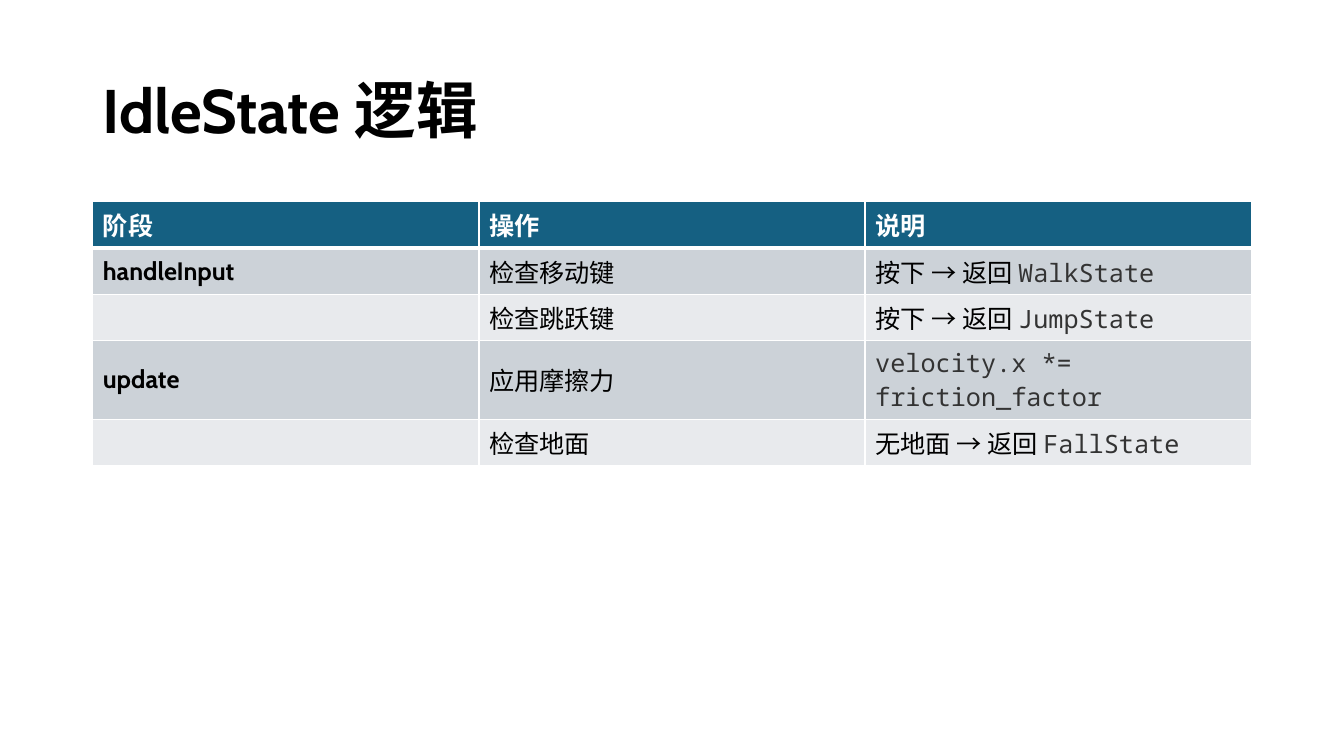
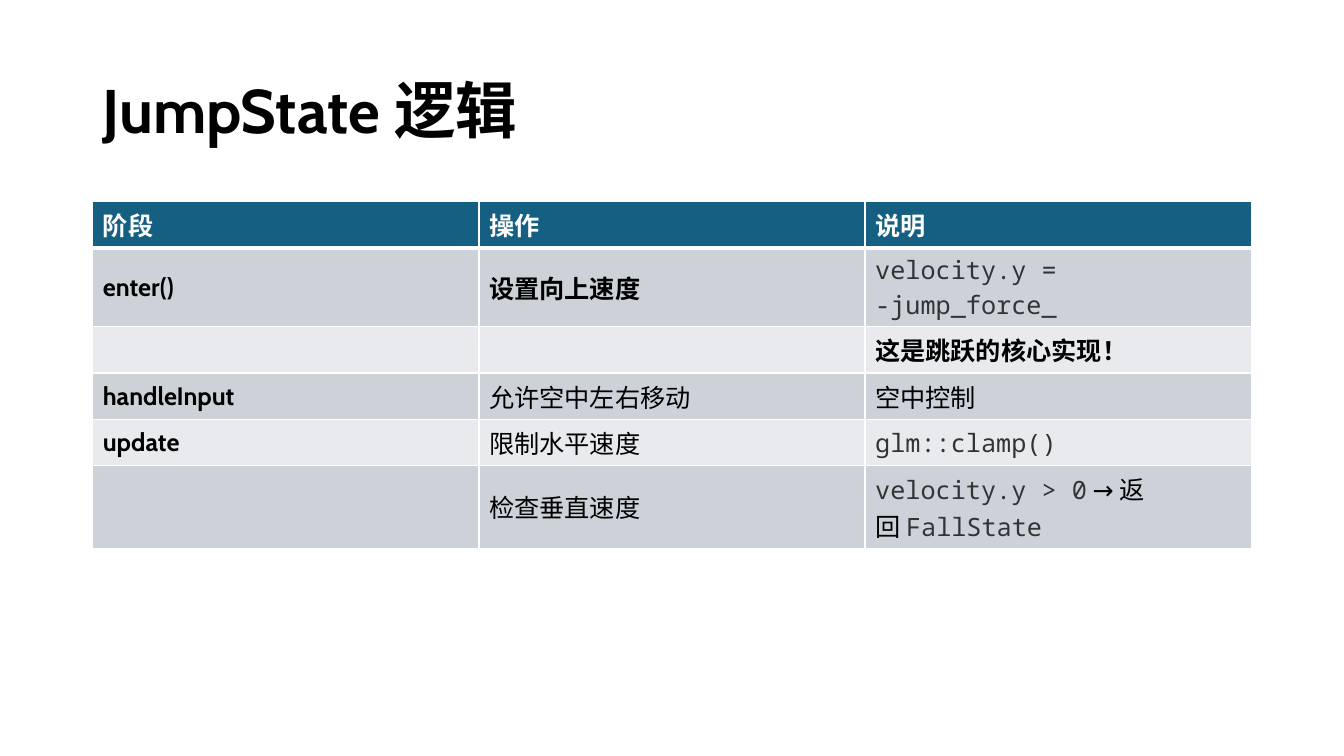
"""Build two slides with tables that explain the logic of player states."""
import lxml.etree
import pptx
import pptx.dml.color
import pptx.enum.lang
import pptx.enum.text
import pptx.oxml.ns
import pptx.util

Inches = pptx.util.Inches
RGBColor = pptx.dml.color.RGBColor

WHITE = RGBColor(0xFF, 0xFF, 0xFF)
BLACK = RGBColor(0x00, 0x00, 0x00)
CODE_GRAY = RGBColor(0x33, 0x33, 0x33)
HEADER_BLUE = RGBColor(0x15, 0x60, 0x82)
BANDS = (RGBColor(0xCC, 0xD2, 0xD8), RGBColor(0xE8, 0xEA, 0xED))

TEXT_FONT = "Cabin"
CODE_FONT = "Noto Sans Mono"
TITLE_SIZE = 44
TABLE_SIZE = 18

HEADING = (TEXT_FONT, WHITE, True)
STRONG = (TEXT_FONT, BLACK, True)
PLAIN = (TEXT_FONT, BLACK, False)
CODE = (CODE_FONT, CODE_GRAY, False)

LEFT = Inches(0.92)
TITLE_WIDTH = Inches(11.5)
COLUMN_WIDTH = Inches(3.83)
ROW_HEIGHT = Inches(0.46)
CODE_ROW_HEIGHT = Inches(0.78)
MIXED_ROW_HEIGHT = Inches(0.82)

HEADER = [[(label, HEADING)] for label in ("阶段", "操作", "说明")]

IDLE_ROWS = [
    (ROW_HEIGHT, [[("handleInput", STRONG)], [("检查移动键", PLAIN)],
                  [("按下 → 返回\u00a0", PLAIN), ("WalkState", CODE)]]),
    (ROW_HEIGHT, [[], [("检查跳跃键", PLAIN)],
                  [("按下 → 返回\u00a0", PLAIN), ("JumpState", CODE)]]),
    (CODE_ROW_HEIGHT, [[("update", STRONG)], [("应用摩擦力", PLAIN)],
                       [("velocity.x *= friction_factor", CODE)]]),
    (ROW_HEIGHT, [[], [("检查地面", PLAIN)],
                  [("无地面 → 返回\u00a0", PLAIN), ("FallState", CODE)]]),
]

JUMP_ROWS = [
    (CODE_ROW_HEIGHT, [[("enter()", STRONG)], [("设置向上速度", STRONG)],
                       [("velocity.y = -jump_force_", CODE)]]),
    (ROW_HEIGHT, [[], [], [("这是跳跃的核心实现！", STRONG)]]),
    (ROW_HEIGHT, [[("handleInput", STRONG)], [("允许空中左右移动", PLAIN)],
                  [("空中控制", PLAIN)]]),
    (ROW_HEIGHT, [[("update", STRONG)], [("限制水平速度", PLAIN)],
                  [("glm::clamp()", CODE)]]),
    (MIXED_ROW_HEIGHT, [[], [("检查垂直速度", PLAIN)],
                        [("velocity.y > 0", CODE), ("\u00a0→ 返回\u00a0", PLAIN),
                         ("FallState", CODE)]]),
]


def add_runs(paragraph, runs, size):
    paragraph.font.size = pptx.util.Pt(size)
    for text, (font_name, color, bold) in runs:
        run = paragraph.add_run()
        run.text = text
        run.font.name = font_name
        run.font.size = pptx.util.Pt(size)
        run.font.bold = bold
        run.font.color.rgb = color
        run.font.language_id = pptx.enum.lang.MSO_LANGUAGE_ID.SIMPLIFIED_CHINESE


def add_title(slide, text):
    shape = slide.shapes.add_textbox(LEFT, Inches(0.4), TITLE_WIDTH, Inches(1.45))
    frame = shape.text_frame
    frame.word_wrap = True
    frame.vertical_anchor = pptx.enum.text.MSO_ANCHOR.MIDDLE
    paragraph = frame.paragraphs[0]
    paragraph.line_spacing = 0.9
    add_runs(paragraph, [(text, STRONG)], TITLE_SIZE)


def set_borders(cell, top, bottom):
    qualified = pptx.oxml.ns.qn
    properties = cell._tc.get_or_add_tcPr()
    sides = (("a:lnL", 1), ("a:lnR", 1), ("a:lnT", top), ("a:lnB", bottom))
    for index, (tag, points) in enumerate(sides):
        line = lxml.etree.Element(qualified(tag), w=str(pptx.util.Pt(points)))
        fill = lxml.etree.SubElement(line, qualified("a:solidFill"))
        lxml.etree.SubElement(fill, qualified("a:srgbClr"), val=str(WHITE))
        properties.insert(index, line)


def fill_cell(cell, runs, row_index):
    cell.vertical_anchor = pptx.enum.text.MSO_ANCHOR.MIDDLE
    cell.fill.solid()
    cell.fill.fore_color.rgb = BANDS[(row_index - 1) % 2] if row_index else HEADER_BLUE
    set_borders(cell, 3 if row_index == 1 else 1, 3 if row_index == 0 else 1)
    add_runs(cell.text_frame.paragraphs[0], runs, TABLE_SIZE)


def add_state_table(slide, body_rows):
    rows = [(ROW_HEIGHT, HEADER)] + body_rows
    table = slide.shapes.add_table(len(rows), len(HEADER), LEFT, Inches(2),
                                   COLUMN_WIDTH * len(HEADER),
                                   sum(height for height, _ in rows)).table
    table.horz_banding = False
    for row_index, (height, cells) in enumerate(rows):
        table.rows[row_index].height = height
        for column_index, runs in enumerate(cells):
            fill_cell(table.cell(row_index, column_index), runs, row_index)


def add_state_slide(presentation, title, body_rows):
    slide = presentation.slides.add_slide(presentation.slide_layouts[6])
    add_title(slide, title)
    add_state_table(slide, body_rows)


def main():
    presentation = pptx.Presentation()
    presentation.slide_width = Inches(13.33)
    presentation.slide_height = Inches(7.5)
    add_state_slide(presentation, "IdleState 逻辑", IDLE_ROWS)
    add_state_slide(presentation, "JumpState 逻辑", JUMP_ROWS)
    presentation.save("out.pptx")


if __name__ == "__main__":
    main()
